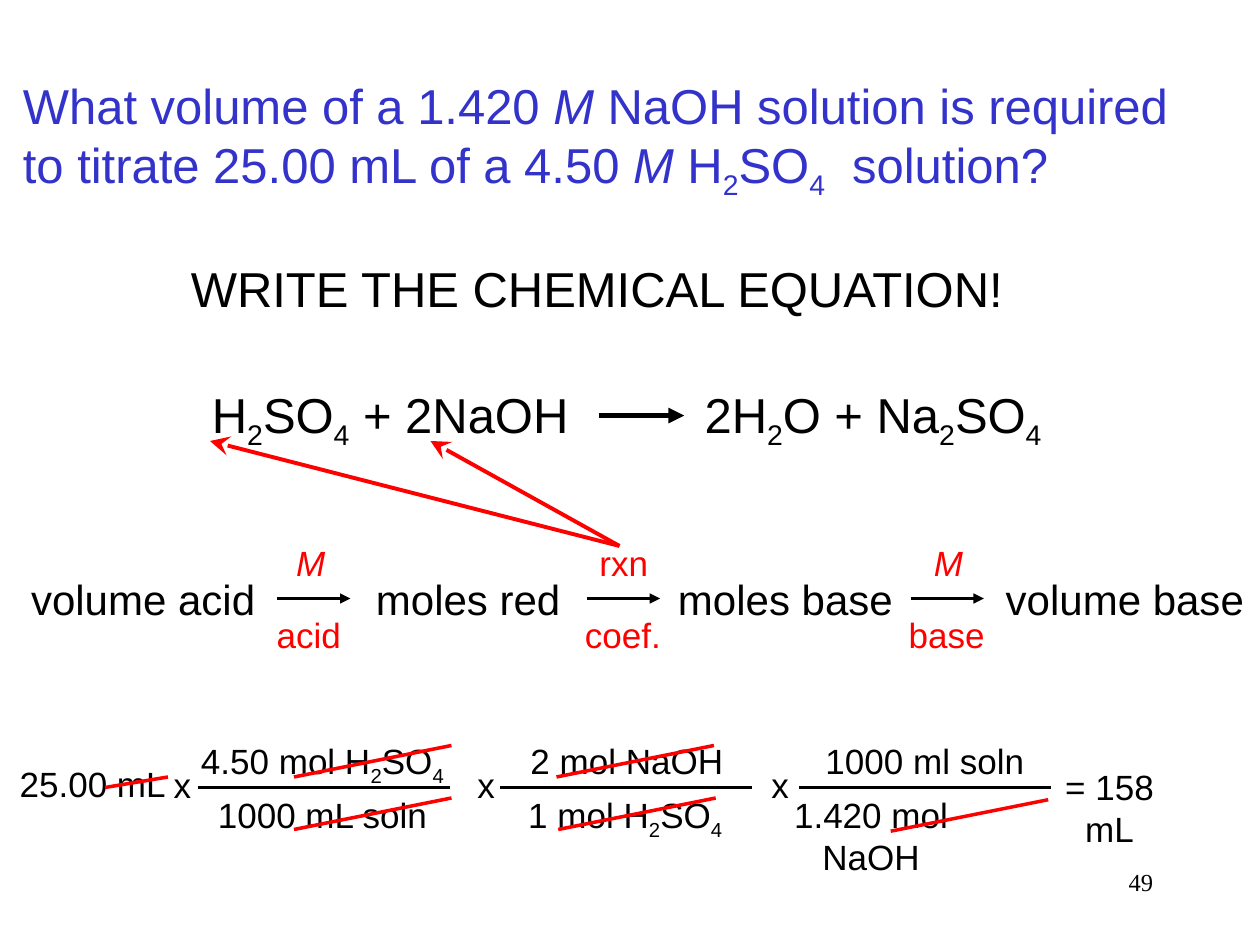
from lxml import etree
from pptx import Presentation
from pptx.dml.color import RGBColor
from pptx.enum.shapes import MSO_CONNECTOR
from pptx.enum.text import PP_ALIGN as AL
from pptx.oxml.ns import qn
from pptx.util import Pt

BLACK, BLUE, RED = "000000", "3333CC", "FF0000"

prs = Presentation()
prs.slide_width, prs.slide_height = Pt(720), Pt(540)
s = prs.slides.add_slide(prs.slide_layouts[6])


def add_text(text, x, y, w, h, size=20, color=BLACK, align=AL.CENTER,
             wrap=False, font="Arial"):
    """Split text at bars: a lone M is italic, a lone 2 or 4 is a subscript."""
    sp = s.shapes.add_textbox(Pt(x), Pt(y), Pt(w), Pt(h))
    tf = sp.text_frame
    tf.word_wrap = wrap
    p = tf.paragraphs[0]
    p.alignment = align
    for part in text.split("|"):
        r = p.add_run()
        r.text = part
        look = {"name": font, "size": Pt(size), "italic": part == "M"}
        for key, value in look.items():
            setattr(r.font, key, value)
        r.font.color.rgb = RGBColor.from_string(color)
        if part in ("2", "4"):
            r._r.get_or_add_rPr().set("baseline", "-25000")
    return tf


def add_line(x1, y1, x2, y2, color, width, head=None, head_size="med"):
    c = s.shapes.add_connector(MSO_CONNECTOR.STRAIGHT, Pt(x1), Pt(y1), Pt(x2), Pt(y2))
    c.line.color.rgb = RGBColor.from_string(color)
    c.line.width = Pt(width)
    if head:
        etree.SubElement(c.line._get_or_add_ln(), qn("a:tailEnd"),
                         type=head, w=head_size, len=head_size)
    etree.SubElement(c._element.spPr, qn("a:effectLst"))


# Page number, question and heading
add_text("49", 516, 492, 150, 36, 14, align=AL.RIGHT, wrap=True, font="Times New Roman")
add_text("What volume of a 1.420 |M| NaOH solution is required to titrate "
         "25.00 mL of a 4.50 |M| H|2|SO|4|  solution?",
         6, 39.5, 696, 74, 28, BLUE, AL.LEFT, True)
add_text("WRITE THE CHEMICAL EQUATION!", 102, 144, 482, 41, 28, align=AL.LEFT)

# Conversion path
for text, x, w in [("volume acid", 10.5, 142.5), ("moles red", 207.5, 120),
                   ("moles base", 380, 137.5), ("volume base", 567.5, 150.5)]:
    add_text(text, x, 324, w, 36, 24)
for x in (158.5, 335.5, 520.5):
    add_line(x, 342, x + 41.75, 342, BLACK, 1.75, "triangle")

# Equation, with a tab stop for the gap around the arrow
tf = add_text("H|2|SO|4| + 2NaOH\t2H|2|O + Na|2|SO|4", 114, 216, 497, 41, 28,
              align=AL.LEFT, wrap=True)
tabs = etree.SubElement(tf.paragraphs[0]._p.get_or_add_pPr(), qn("a:tabLst"))
etree.SubElement(tabs, qn("a:tab"), pos=str(Pt(281.5)), algn="l")
add_line(342.5, 237.5, 391, 237.5, BLACK, 3, "triangle")

# Conversion factors: times sign, bar start, then text, left and width above and below
factors = [
    (92, 113, ("4.50 mol H|2|SO|4", 107, 154.5), ("1000 mL soln", 117, 134.5)),
    (265.5, 286, ("2 mol NaOH", 296, 124.5), ("1 mol H|2|SO|4", 294, 126.5)),
    (433.5, 456.5, ("1000 ml soln", 464.5, 128), ("1.420 mol NaOH", 445.5, 163.5)),
]
for times, bar, (top, top_x, top_w), (low, low_x, low_w) in factors:
    add_text(top, top_x, 419, top_w, 31)
    tf = add_text(low, low_x, 450, low_w, 31)
    add_line(bar, 450, bar + 144, 450, BLACK, 2)
    add_text("x", times, 432.5, 24.5, 31)
tf.word_wrap, tf.margin_right = True, Pt(66)
add_text("25.00 mL", 4, 432, 98, 31)
tf = add_text("= 158 mL", 600, 434, 98, 31, wrap=True)
tf.margin_right = Pt(37)

# Red labels above and below the path arrows, with room to stay on one line
for text, center, y, w in [("M", 177.5, 306, 36), ("acid", 176.5, 347, 58),
                           ("rxn", 356.5, 306, 50), ("coef.", 356, 347, 66),
                           ("M", 542, 306, 36), ("base", 541, 347, 66)]:
    add_text(text, center - w / 2, y, w, 31, color=RED)

# Strokes through the cancelled units
add_line(60, 450, 96, 444, RED, 2)
for x, y in [(168, 474), (168, 444), (319, 474), (318, 444), (509, 475)]:
    add_line(x, y, x + 90, y - 18, RED, 2)

# Arrows from the reaction coefficients to the equation
for x in (246, 120):
    add_line(354, 312, x, 252, RED, 2.25, "stealth", "lg")

prs.save("out.pptx")
